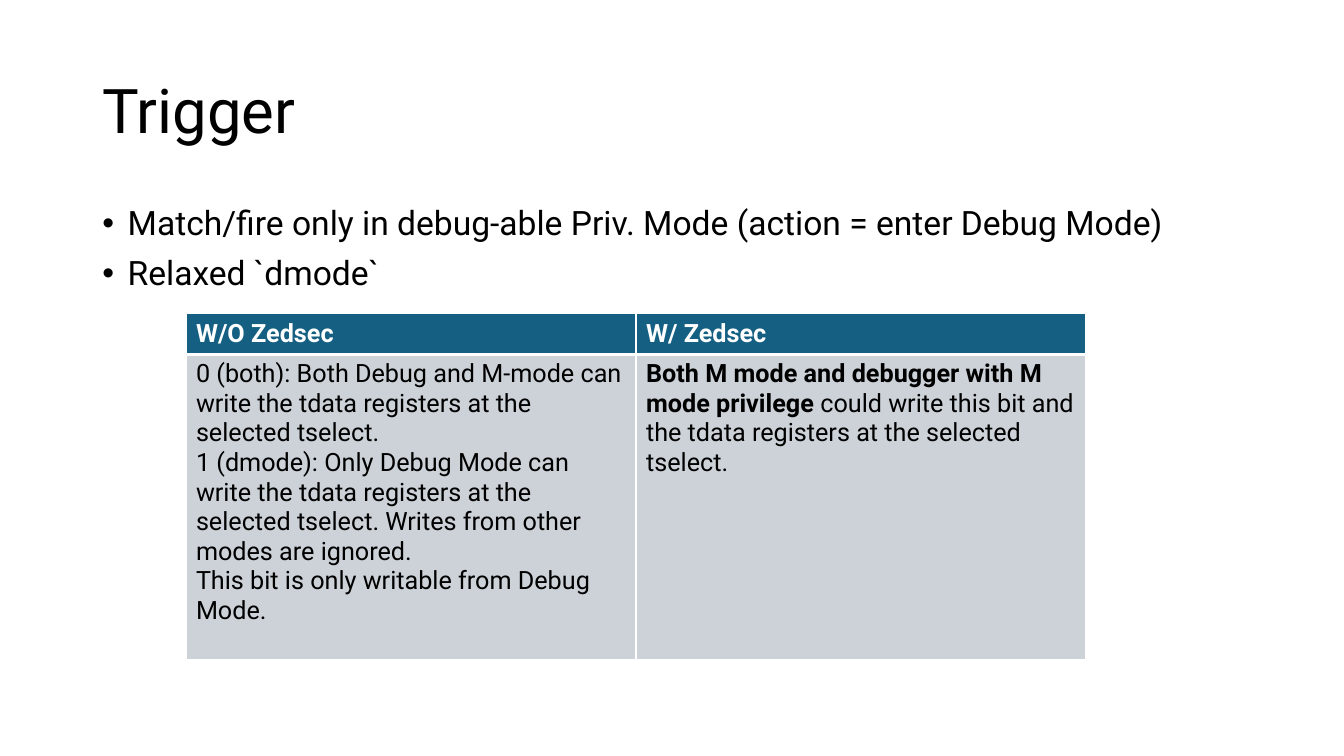
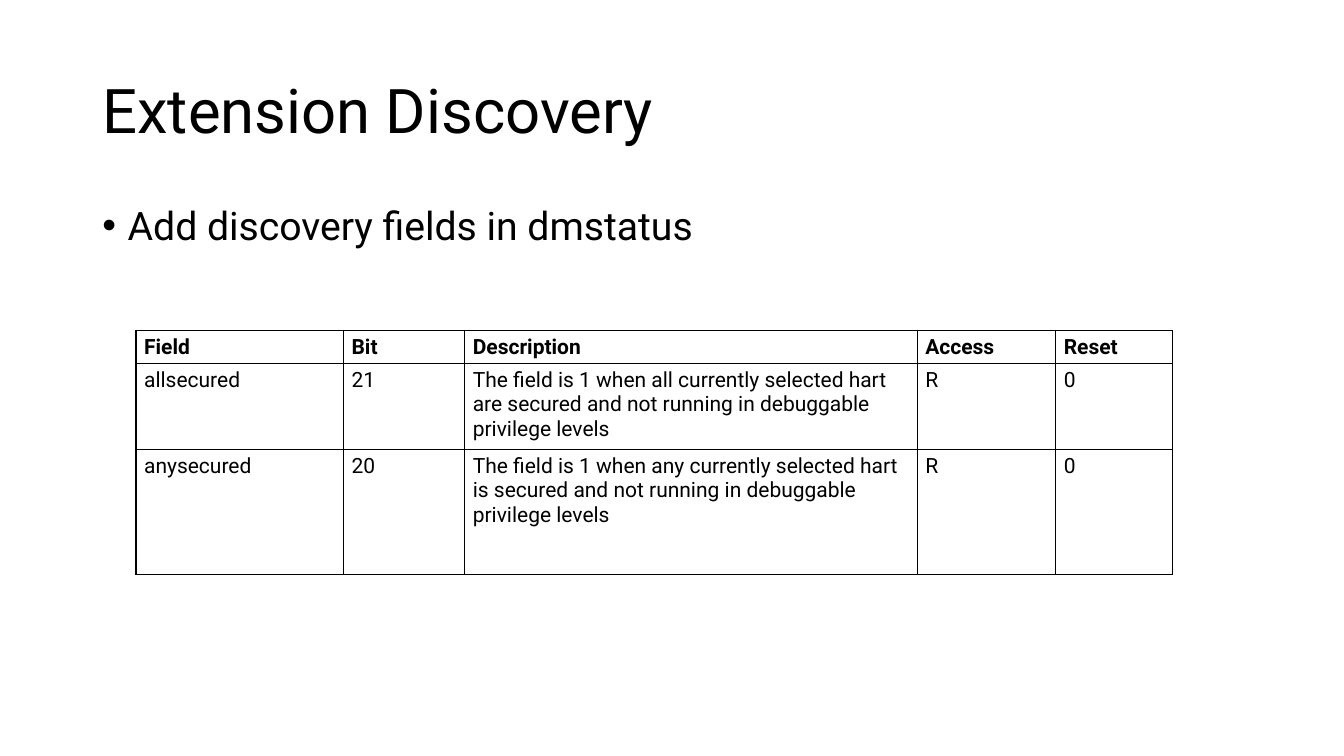
"""Build two slides on debug triggers and on finding the extension."""
from dataclasses import dataclass
from typing import Any, NamedTuple

from lxml import etree
from pptx import Presentation
from pptx import util as u
from pptx.dml import color
from pptx.enum import text
from pptx.oxml import ns


@dataclass(frozen=True)
class Theme:
    font: str = "Roboto"
    ink: str = "000000"
    white: str = "FFFFFF"
    head: str = "156082"
    band: str = "CCD2D8"
    title: float = 44
    large: float = 28
    list: float = 24
    cell: float = 18
    small: float = 15


class Box(NamedTuple):
    left: float
    top: float
    width: float
    height: float


class Run(NamedTuple):
    words: str
    bold: bool = False


Cell = list[list[Run]]


@dataclass(frozen=True)
class Look:
    size: float
    edge: str
    rule: float
    head_ink: str
    head_fill: str | None = None
    fill: str | None = None
    pad: tuple[float, float] = (7.2, 3.6)


@dataclass(frozen=True)
class Grid:
    left: float
    top: float
    cols: list[float]
    rows: list[float]
    cells: list[list[Cell]]
    look: Look


@dataclass(frozen=True)
class Page:
    title: str
    points: list[str]
    size: float
    grid: Grid


THEME = Theme()
WIDE, HIGH = 960, 540
TITLE = Box(66, 28.8, 828, 104.4)
BODY = Box(66, 144, 828, 342.6)
INDENT = 18
FRAME = {"word_wrap": True, "auto_size": text.MSO_AUTO_SIZE.NONE}
PARA = {"alignment": text.PP_ALIGN.LEFT, "line_spacing": 0.9}


def put(item: Any, form: dict[str, Any]) -> None:
    for name, value in form.items():
        setattr(item, name, value)


def style(font: Any, size: float, ink: str, bold: bool = False) -> None:
    put(font, {"name": THEME.font, "size": u.Pt(size), "bold": bold})
    font.color.rgb = color.RGBColor.from_string(ink)


def fill_in(holder: Any, box: Box, lines: list[str], size: float,
            anchor: Any, before: float, indent: float = 0) -> None:
    put(holder, {name: u.Pt(value) for name, value in box._asdict().items()})
    frame = holder.text_frame
    frame.text = "\n".join(lines)
    put(frame, FRAME | {"vertical_anchor": anchor})
    for para in frame.paragraphs:
        put(para, PARA | {"space_before": u.Pt(before)})
        props = para._p.get_or_add_pPr()
        props.set("marL", str(u.Pt(indent)))
        props.set("indent", str(u.Pt(-indent)))
        for run in para.runs:
            style(run.font, size, THEME.ink)


def edge(cell: Any, side: str, ink: str, width: float) -> None:
    props = cell._tc.get_or_add_tcPr()
    line = etree.SubElement(props, ns.qn(f"a:ln{side}"), w=str(u.Pt(width)))
    solid = etree.SubElement(line, ns.qn("a:solidFill"))
    etree.SubElement(solid, ns.qn("a:srgbClr"), val=ink)


def write(cell: Any, paras: Cell, size: float, ink: str) -> None:
    frame = cell.text_frame
    for i, runs in enumerate(paras):
        para = frame.add_paragraph() if i else frame.paragraphs[0]
        for words, bold in runs:
            for j, part in enumerate(words.split("\n")):
                if j:
                    para.add_line_break()
                run = para.add_run()
                run.text = part
                style(run.font, size, ink, bold)


def draw_cell(cell: Any, paras: Cell, row: int, look: Look) -> None:
    wide, high = map(u.Pt, look.pad)
    put(cell, {"margin_left": wide, "margin_right": wide,
               "margin_top": high, "margin_bottom": high})
    rules = {"L": 1, "R": 1, "T": look.rule if row == 1 else 1,
             "B": look.rule if row == 0 else 1}
    for side, width in rules.items():
        edge(cell, side, look.edge, width)
    fill = look.fill if row else look.head_fill
    if fill:
        cell.fill.solid()
        cell.fill.fore_color.rgb = color.RGBColor.from_string(fill)
    else:
        cell.fill.background()
    write(cell, paras, look.size, THEME.ink if row else look.head_ink)


def draw_grid(slide: Any, grid: Grid) -> None:
    box = Box(grid.left, grid.top, sum(grid.cols), sum(grid.rows))
    table = slide.shapes.add_table(
        len(grid.rows), len(grid.cols), *map(u.Pt, box)).table
    table.horz_banding = False
    for col, width in zip(table.columns, grid.cols):
        col.width = u.Pt(width)
    for row, height in zip(table.rows, grid.rows):
        row.height = u.Pt(height)
    for i, cells in enumerate(grid.cells):
        for j, paras in enumerate(cells):
            draw_cell(table.cell(i, j), paras, i, grid.look)


def draw_page(deck: Any, page: Page) -> None:
    slide = deck.slides.add_slide(deck.slide_layouts[1])
    fill_in(slide.shapes.title, TITLE, [page.title], THEME.title,
            text.MSO_ANCHOR.MIDDLE, 0)
    fill_in(slide.placeholders[1], BODY, page.points, page.size,
            text.MSO_ANCHOR.TOP, 10, INDENT)
    draw_grid(slide, page.grid)


def plain(words: list[str], bold: bool = False) -> list[Cell]:
    return [[[Run(word, bold)]] for word in words]


def field(name: str, bit: str, scope: str) -> list[Cell]:
    note = (f"The field is 1 when {scope} secured and not running in "
            "debuggable privilege levels")
    return plain([name, bit, note, "R", "0"])


BANDED = Look(THEME.cell, THEME.white, 3, THEME.white, THEME.head, THEME.band)
RULED = Look(THEME.small, THEME.ink, 1, THEME.ink, pad=(5.76, 2.88))

WITHOUT = [
    [Run("0 (both): Both Debug and M-mode can write the tdata registers "
         "at the selected tselect.")],
    [Run("1 (dmode): Only Debug Mode can write the tdata registers at the "
         "selected tselect. Writes from other modes are ignored.\n"
         "This bit is only writable from Debug Mode.")],
]
WITH = [[
    Run("Both M mode and debugger with M mode privilege ", True),
    Run("could write this bit and the tdata registers at the selected "
        "tselect."),
]]

PAGES = [
    Page(
        "Trigger",
        ["Match/fire only in debug-able Priv. Mode "
         "(action = enter Debug Mode)", "Relaxed `dmode`"],
        THEME.list,
        Grid(132.8, 224.2, [321.5] * 2, [29, 218],
             [plain(["W/O Zedsec", "W/ Zedsec"], True), [WITHOUT, WITH]],
             BANDED),
    ),
    Page(
        "Extension Discovery",
        ["Add discovery fields in dmstatus"],
        THEME.large,
        Grid(97.2, 236.1, [148.2, 86.6, 323.2, 99, 83.6], [23.6, 61.4, 89.3],
             [plain(["Field", "Bit", "Description", "Access", "Reset"], True),
              field("allsecured", "21", "all currently selected hart are"),
              field("anysecured", "20", "any currently selected hart is")],
             RULED),
    ),
]


def main() -> None:
    deck = Presentation()
    put(deck, {"slide_width": u.Pt(WIDE), "slide_height": u.Pt(HIGH)})
    for page in PAGES:
        draw_page(deck, page)
    deck.save("out.pptx")


if __name__ == "__main__":
    main()
